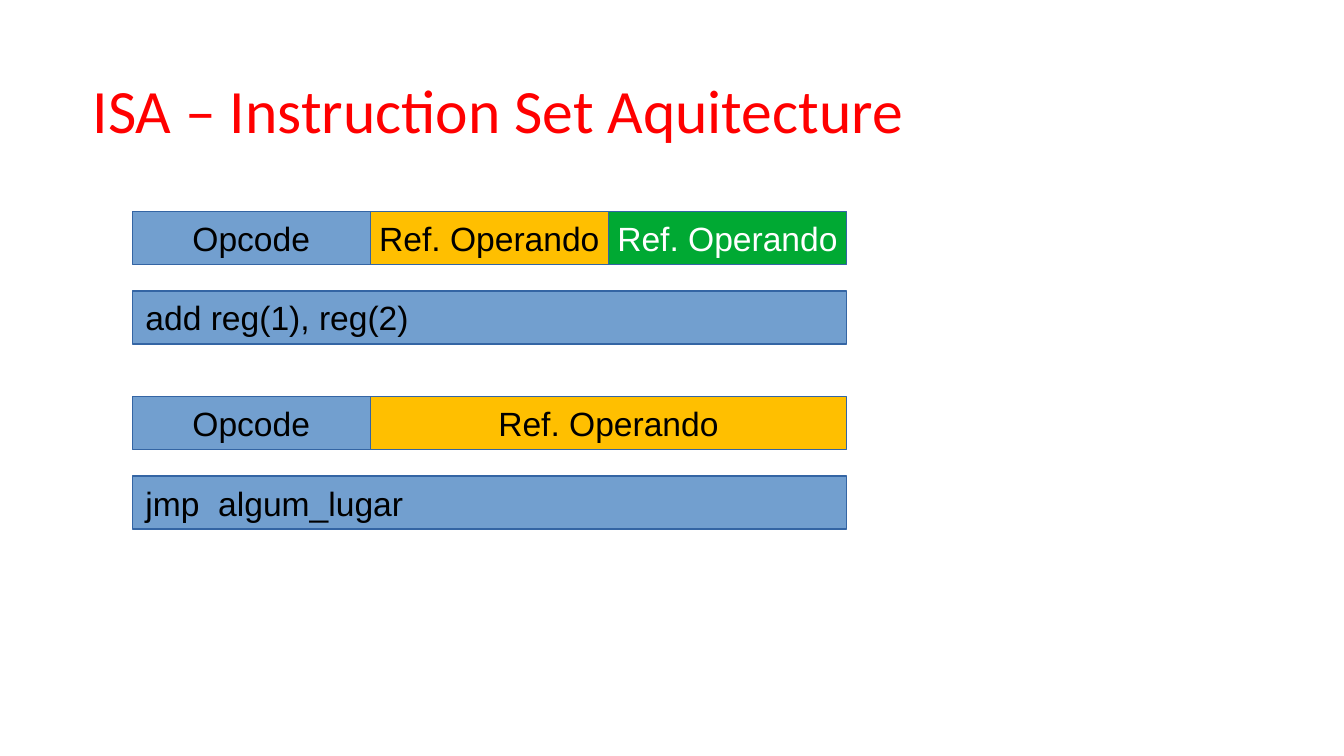
from pptx import Presentation
from pptx.dml.color import RGBColor
from pptx.enum.shapes import MSO_SHAPE
from pptx.enum.text import MSO_ANCHOR, PP_ALIGN
from pptx.util import Pt

BLUE, YELLOW, GREEN = "729FCF", "FFBF00", "00A933"
BLACK, WHITE, RED, BORDER = "000000", "FFFFFF", "FF0000", "3465A4"
FIELD_HEIGHT = 28.35
EXAMPLE_OFFSET = 42.52


def color(value):
    return RGBColor.from_string(value)


def set_attributes(target, values):
    for name, value in values.items():
        setattr(target, name, value)


def write_text(shape, text, frame_format, paragraph_format, font_format, text_color):
    frame = shape.text_frame
    set_attributes(frame, {"vertical_anchor": MSO_ANCHOR.MIDDLE, **frame_format})
    paragraph = frame.paragraphs[0]
    set_attributes(paragraph, paragraph_format)
    run = paragraph.add_run()
    run.text = text
    set_attributes(run.font, font_format)
    run.font.color.rgb = color(text_color)


def add_title(slide, left, top, width, height, text):
    shape = slide.shapes.add_textbox(Pt(left), Pt(top), Pt(width), Pt(height))
    margins = {f"margin_{side}": 0 for side in ("left", "top", "right", "bottom")}
    write_text(shape, text, {"word_wrap": True, **margins}, {"line_spacing": 0.9},
               {"name": "Calibri", "size": Pt(33)}, RED)


def add_field(slide, left, top, width, text, fill, text_color=BLACK, alignment=PP_ALIGN.CENTER):
    shape = slide.shapes.add_shape(
        MSO_SHAPE.RECTANGLE, Pt(left), Pt(top), Pt(width), Pt(FIELD_HEIGHT))
    shape.shadow.inherit = False
    shape.fill.solid()
    shape.fill.fore_color.rgb = color(fill)
    shape.line.color.rgb = color(BORDER)
    shape.line.width = 0
    write_text(shape, text, {"word_wrap": False}, {"alignment": alignment},
               {"name": "Arial", "size": Pt(18)}, text_color)


def add_instruction(slide, left, top, width, fields, example):
    unit = width / sum(span for span, *_ in fields)
    field_left = left
    for span, text, fill, text_color in fields:
        add_field(slide, field_left, top, span * unit, text, fill, text_color)
        field_left += span * unit
    add_field(slide, left, top + EXAMPLE_OFFSET, width, example, BLUE, alignment=PP_ALIGN.LEFT)


def main():
    presentation = Presentation()
    presentation.slide_width, presentation.slide_height = Pt(720), Pt(405)
    slide = presentation.slides.add_slide(presentation.slide_layouts[6])

    add_title(slide, 49.6, 21.6, 620.8, 78.3, "ISA – Instruction Set Aquitecture")

    opcode = (1, "Opcode", BLUE, BLACK)
    instructions = [
        (113.39, [opcode, (1, "Ref. Operando", YELLOW, BLACK),
                  (1, "Ref. Operando", GREEN, WHITE)], "add reg(1), reg(2)"),
        (212.6, [opcode, (2, "Ref. Operando", YELLOW, BLACK)], "jmp  algum_lugar"),
    ]
    for top, fields, example in instructions:
        add_instruction(slide, 70.87, top, 382.68, fields, example)

    presentation.save("out.pptx")


if __name__ == "__main__":
    main()
